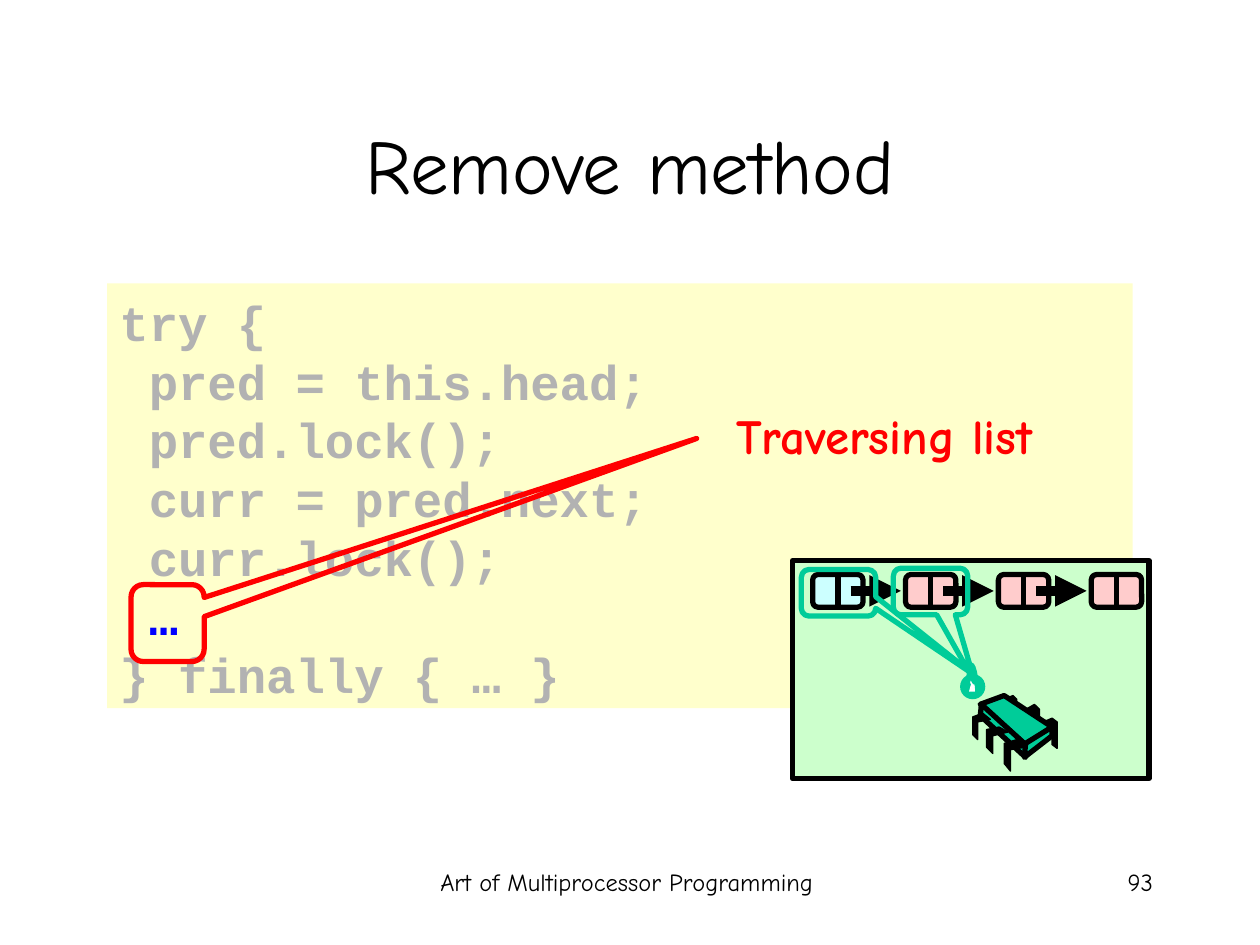
from math import cos, pi, sin

from lxml import etree
from pptx import Presentation
from pptx import util as u
from pptx.dml.color import RGBColor
from pptx.enum import shapes as sh, text as tx
from pptx.oxml.ns import qn

FONT, MONO = "Comic Neue", "Courier New"
BLACK, RED, GREEN, GREY, CREAM = "000000", "FF0000", "00CC99", "B2B2B2", "FFFFCC"

CODE = [
    ("try {", GREY),
    (" pred = this.head;", GREY),
    (" pred.lock();", GREY),
    (" curr = pred.next;", GREY),
    (" curr.lock();", GREY),
    (" …", "0000FF"),
    ("} finally { … }", GREY),
]

# Linked list: one fill for each node
NODES = ["CCFFFF", "FFCCCC", "FFCCCC", "FFCCCC"]
NODE_X, NODE_Y, NODE_W, NODE_H, STEP = 6.45, 4.56, 0.4, 0.26, 0.737

# Chip parts: fill, line width, corners
BACK_LEGS = [
    (BLACK, 0.75, [(8.28, 5.73), (8.35, 5.7), (8.39, 5.73), (8.39, 5.94),
                   (8.35, 5.91), (8.35, 5.77), (8.28, 5.8)]),
    (BLACK, 0.75, [(8.14, 5.63), (8.21, 5.59), (8.25, 5.63), (8.25, 5.84),
                   (8.21, 5.8), (8.21, 5.66), (8.14, 5.7)]),
    (BLACK, 0.75, [(7.97, 5.55), (8.04, 5.52), (8.07, 5.55), (8.07, 5.73),
                   (8.04, 5.7), (8.04, 5.58), (7.97, 5.61)]),
]
BODY = [
    (GREEN, 3, [(7.97, 5.52), (8.35, 5.77), (8.14, 5.91), (7.78, 5.59)]),
    (GREEN, 3, [(7.79, 5.59), (8.14, 5.91), (8.14, 6.01), (7.78, 5.68)]),
    (GREEN, 3, [(8.35, 5.77), (8.35, 5.84), (8.13, 6.01), (8.14, 5.9)]),
]
FRONT_LEGS = [
    (BLACK, 0.75, [(8.07, 5.87), (8.14, 5.93), (8.02, 5.95), (8.02, 6.12),
                   (7.97, 6.06), (7.97, 5.9)]),
    (BLACK, 0.75, [(7.93, 5.77), (8, 5.81), (7.88, 5.84), (7.88, 5.98),
                   (7.83, 5.93), (7.83, 5.79)]),
    (BLACK, 0.75, [(7.8, 5.66), (7.86, 5.71), (7.76, 5.73), (7.76, 5.87),
                   (7.72, 5.83), (7.72, 5.69)]),
]

prs = Presentation()
prs.slide_width, prs.slide_height = u.Inches(10), u.Inches(7.5)
slide = prs.slides.add_slide(prs.slide_layouts[6])
kit = slide.shapes


def rgb(code):
    return RGBColor.from_string(code)


def paint(shape, fill=None, line=None, width=3):
    shape.shadow.inherit = False
    if fill:
        shape.fill.solid()
        shape.fill.fore_color.rgb = rgb(fill)
    else:
        shape.fill.background()
    if line:
        shape.line.color.rgb = rgb(line)
        shape.line.width = u.Pt(width)
    else:
        shape.line.fill.background()
    return shape


def draw(kind, x, y, w, h, adj=(), **look):
    shape = kit.add_shape(kind, *map(u.Inches, (x, y, w, h)))
    for i, value in enumerate(adj):
        shape.adjustments[i] = value
    return paint(shape, **look)


def rect(*box, **look):
    return draw(sh.MSO_SHAPE.RECTANGLE, *box, **look)


def oval(*box, **look):
    return draw(sh.MSO_SHAPE.OVAL, *box, **look)


def bubble(*box, tip, line):
    return draw(sh.MSO_SHAPE.ROUNDED_RECTANGULAR_CALLOUT, *box,
                adj=(*tip, 0.167), line=line)


def outline(points, **look):
    """Draw a closed freeform through points given in inches."""
    first, *rest = [(u.Inches(x), u.Inches(y)) for x, y in points]
    pen = kit.build_freeform(*first)
    pen.add_line_segments(rest, close=True)
    return paint(pen.convert_to_shape(), **look)


def write(shape, lines, size, font=FONT, bold=False, align=tx.PP_ALIGN.LEFT,
          anchor=tx.MSO_ANCHOR.TOP, pitch=None):
    """Fill a shape with (text, colour) lines."""
    frame = shape.text_frame
    frame.word_wrap = True
    frame.vertical_anchor = anchor
    for i, (words, color) in enumerate(lines):
        para = frame.add_paragraph() if i else frame.paragraphs[0]
        para.alignment = align
        if pitch:
            para.line_spacing = u.Pt(pitch)
        run = para.add_run()
        run.text = words
        run.font.name, run.font.size, run.font.bold = font, u.Pt(size), bold
        run.font.color.rgb = rgb(color)


def label(words, *box, **style):
    write(kit.add_textbox(*map(u.Inches, box)), [(words, BLACK)], **style)


def wire(x1, y1, x2, y2, width, head=False):
    line = kit.add_connector(sh.MSO_CONNECTOR.STRAIGHT,
                             *map(u.Inches, (x1, y1, x2, y2)))
    line.line.color.rgb = rgb(BLACK)
    line.line.width = u.Pt(width)
    if head:
        etree.SubElement(line.line._get_or_add_ln(), qn("a:tailEnd"),
                         type="triangle")
    etree.SubElement(line._element.spPr, qn("a:effectLst"))
    return line


def arrow(i):
    x, y = NODE_X + i * STEP + 0.3, NODE_Y + NODE_H / 2
    wire(x, y, x + 0.4, y, 6, head=True)


def arch(rx, ry, start, end, steps=12):
    """Points on the upper half of an ellipse, between two angles."""
    turns = [start + (end - start) * i / steps for i in range(steps + 1)]
    return [(7.715 + rx * cos(t), 5.5 - ry * sin(t)) for t in turns]


# Footer and title
mid = tx.PP_ALIGN.CENTER
label("Art of Multiprocessor Programming", 3.1, 6.83, 3.75, 0.5, size=14, align=mid)
label("93", 7.17, 6.83, 2.08, 0.5, size=14, align=tx.PP_ALIGN.RIGHT)
label("Remove method", 0.75, 0.67, 8.5, 1.25, size=44, align=mid,
      anchor=tx.MSO_ANCHOR.MIDDLE)

# Code and remark
code = rect(0.85, 2.25, 8.14, 3.37, fill=CREAM)
code.text_frame.margin_top = u.Inches(0.07)
write(code, CODE, 28, font=MONO, bold=True, pitch=33.6)
note = rect(5.22, 3.17, 3.6, 0.57, fill=CREAM)
etree.SubElement(note._element.spPr.find(".//" + qn("a:srgbClr")),
                 qn("a:alpha"), val="70000")
write(note, [("Traversing list", RED)], 28, bold=True, align=mid)

# List panel
rect(6.29, 4.45, 2.83, 1.73, fill="CCFFCC", line=BLACK)
for i, fill in enumerate(NODES):
    x = NODE_X + i * STEP
    node = draw(sh.MSO_SHAPE.ROUNDED_RECTANGLE, x, NODE_Y, NODE_W, NODE_H,
                adj=(0.167,), fill=fill, line=BLACK)
    split = wire(x + NODE_W / 2, NODE_Y, x + NODE_W / 2, NODE_Y + NODE_H, 3)
    split.begin_connect(node, 0)
    split.end_connect(node, 2)
arrow(0)
arrow(1)
bubble(6.36, 4.52, 0.59, 0.37, tip=(1.813, 1.749), line=GREEN)
arrow(2)

# Padlock
oval(7.62, 5.35, 0.2, 0.2, fill=GREEN)
oval(7.7, 5.39, 0.05, 0.05, fill="FFFFFF")
outline([(7.69, 5.49), (7.71, 5.42), (7.73, 5.42), (7.75, 5.49)], fill="FFFFFF")
outline(arch(0.025, 0.12, pi, 0) + arch(0.055, 0.24, 0, pi), fill=GREEN)

# Chip
for fill, width, points in BACK_LEGS + BODY + FRONT_LEGS:
    outline(points, fill=fill, line=BLACK, width=width)

bubble(7.09, 4.51, 0.59, 0.37, tip=(0.596, 1.944), line=GREEN)
bubble(1.04, 4.64, 0.58, 0.61, tip=(7.24, -2.403), line=RED)

prs.save("out.pptx")
